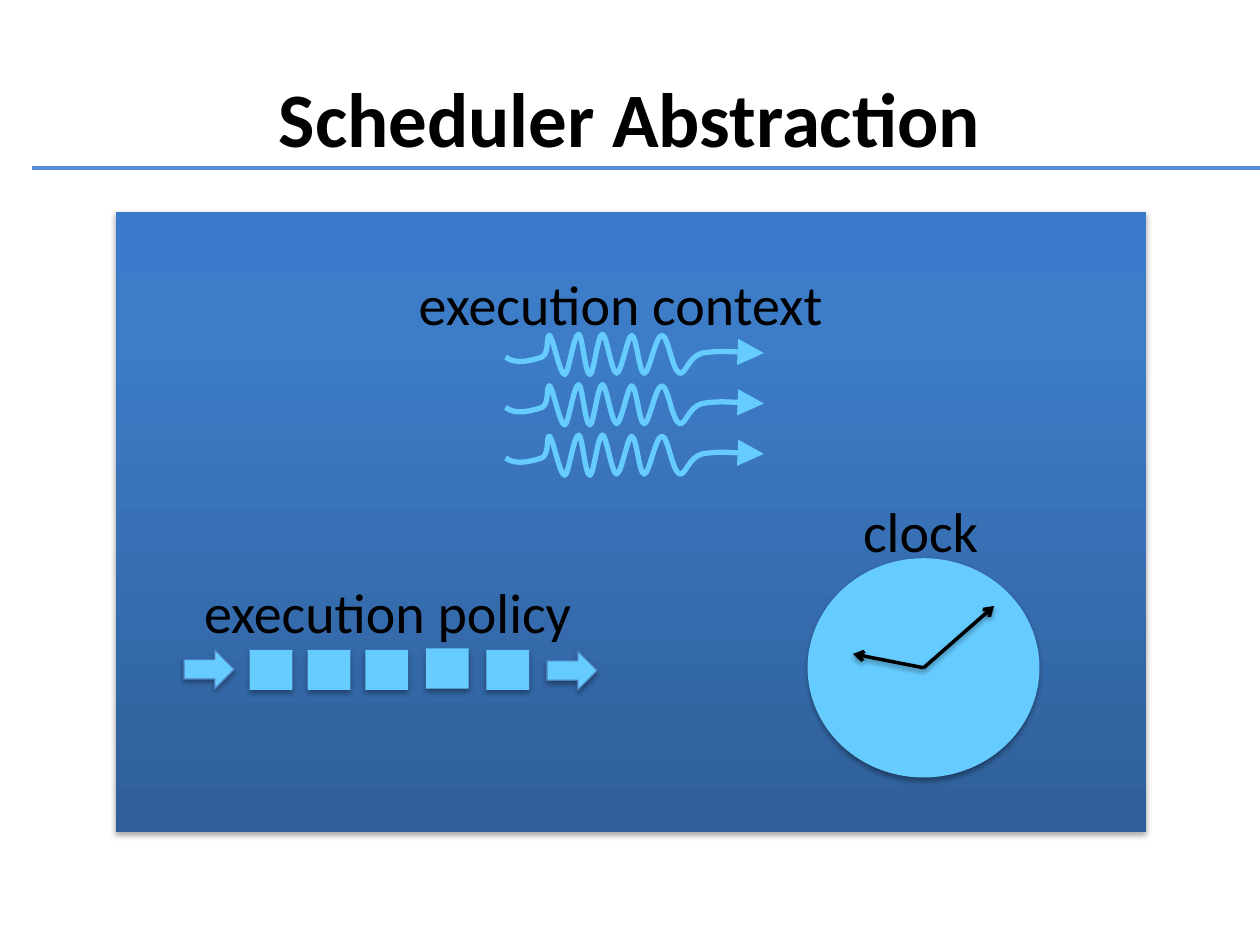
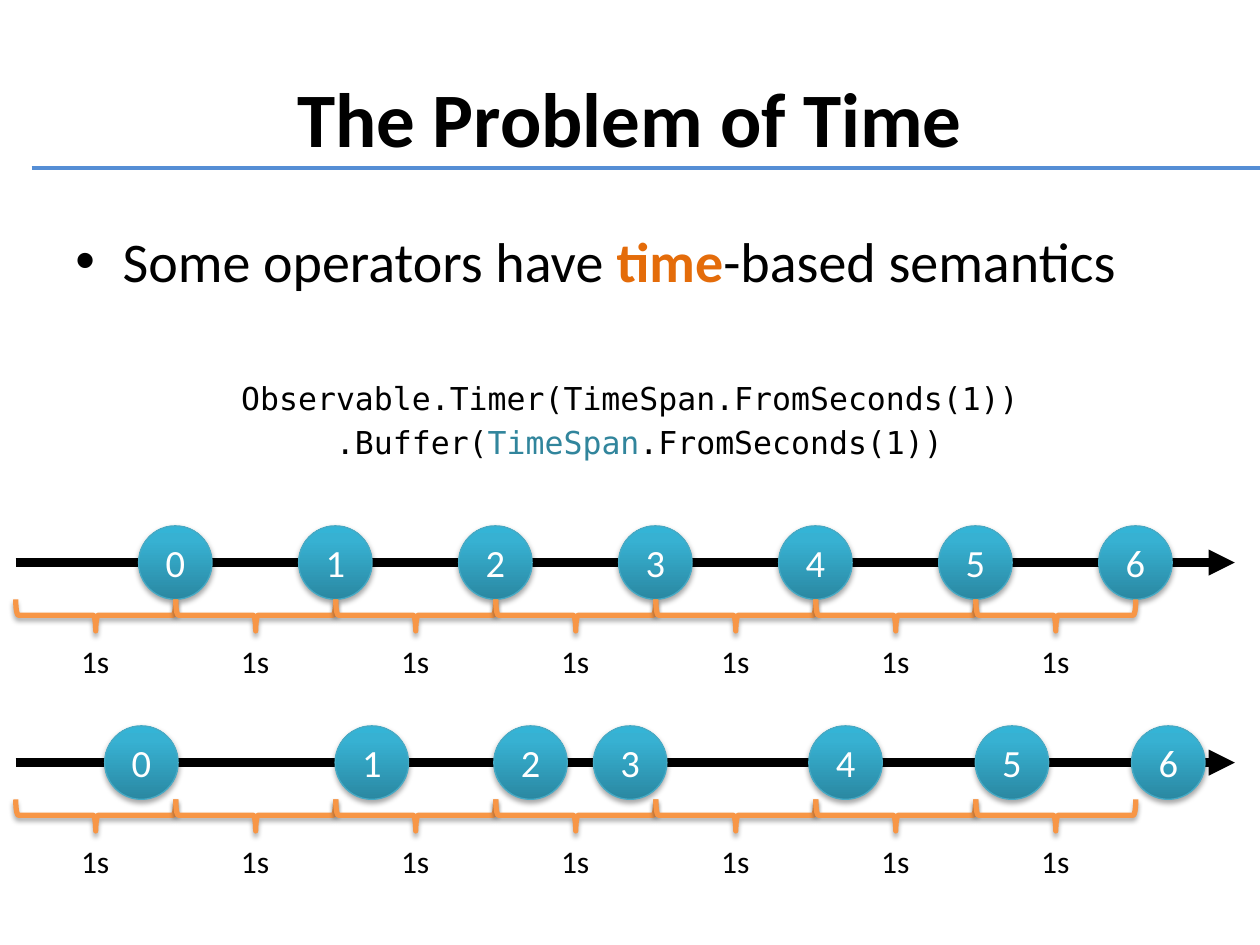
"""Build two slides about schedulers and time-based operators."""

import copy
import itertools
from typing import NamedTuple

import lxml.etree
import pptx
import pptx.dml.color
import pptx.enum.shapes
import pptx.enum.text
import pptx.oxml.ns
import pptx.util

Pt = pptx.util.Pt
RGBColor = pptx.dml.color.RGBColor
ShapeKind = pptx.enum.shapes.MSO_SHAPE
Alignment = pptx.enum.text.PP_ALIGN
qn = pptx.oxml.ns.qn

BLACK = RGBColor(0x00, 0x00, 0x00)
WHITE = RGBColor(0xFF, 0xFF, 0xFF)
RULE_BLUE = RGBColor(0x55, 0x8E, 0xD5)
SKY = RGBColor(0x66, 0xCC, 0xFF)
ARROW_EDGE = RGBColor(0x4B, 0x7E, 0xBC)
EVENT_EDGE = RGBColor(0x46, 0xAA, 0xC5)
ORANGE = RGBColor(0xF7, 0x96, 0x46)
EMPHASIS = RGBColor(0xE4, 0x6C, 0x0A)
TYPE_TEAL = RGBColor(0x31, 0x85, 0x9C)
PANEL_GRADIENT = (
    (0, RGBColor(0x2F, 0x5F, 0x99)),
    (0.8, RGBColor(0x3D, 0x7C, 0xC7)),
    (1, RGBColor(0x3A, 0x7C, 0xCB)),
)
EVENT_GRADIENT = (
    (0, RGBColor(0x2A, 0x88, 0xA2)),
    (0.8, RGBColor(0x37, 0xB1, 0xD2)),
    (1, RGBColor(0x34, 0xB4, 0xD6)),
)
TEXT_FONT = "Calibri"
CODE_FONT = "DejaVu Sans Mono"

SECOND = 91.44
SECONDS_SHOWN = 7
AXIS_LEFT = 9
AXIS_RIGHT = 705.6
EVENT_SIZE = 42
SQUIGGLE_START = (147.6, 10.8)
SQUIGGLE_CURVES = (
    ((133.9, 10.1), (121, 9.4), (112.3, 10.8)),
    ((104.4, 13), (103, 23), (99.4, 22.3)),
    ((95, 20.2), (92.9, 0.7), (89.3, 0.7)),
    ((85.7, 0.7), (82.1, 22.3), (79.2, 22.3)),
    ((76.3, 22.3), (74.9, 0.7), (72, 0.7)),
    ((69.8, 0.7), (66.2, 22.3), (63.4, 22.3)),
    ((60.5, 21.6), (57.6, 0), (55.4, 0)),
    ((52.6, 0), (50.4, 23), (48.2, 23)),
    ((45.4, 23), (43.9, 0), (41.8, 0)),
    ((38.9, 0), (36, 23), (33.8, 23)),
    ((31, 23), (27.4, 2.9), (25.2, 0.7)),
    ((23, 0), (25.2, 10.8), (20.9, 13)),
    ((16.6, 14.4), (5.8, 18), (0, 13)),
)


class Box(NamedTuple):
    """A frame in points."""

    left: float
    top: float
    width: float
    height: float


class Label(NamedTuple):
    """A caption with its frame."""

    text: str
    box: Box
    size: float = 32
    inset: bool = False


class Timeline(NamedTuple):
    """An axis height and the left edges of its events."""

    axis: float
    event_lefts: tuple[float, ...]


SCHEDULER_LABELS = (
    Label("clock", Box(493.2, 283.7, 69.8, 35.3)),
    Label("execution context", Box(239.3, 154.1, 242.6, 35.3)),
    Label("execution policy", Box(116.6, 329.8, 221.8, 35.3)),
)
QUEUE_ITEMS = ((142.6, 371.3), (175.8, 371.3), (208.8, 371.3), (243.4, 370.5), (277.9, 371.3))
QUEUE_ARROWS = ((105.1, 371.3), (312.5, 372))
CLOCK_CENTER = (527.8, 381.6)
CLOCK_HAND_TIPS = ((568.1, 346.3), (487.4, 373.7))
TIMELINES = (
    Timeline(321.5, tuple(79.2 + SECOND * number for number in range(SECONDS_SHOWN))),
    Timeline(435.8, (59.8, 191.5, 282.2, 339.1, 462.2, 557.3, 646.6)),
)


def set_font(font, size: float, color: RGBColor = BLACK, name: str = TEXT_FONT) -> None:
    """Give a font its face, size and colour."""
    font.name = name
    font.size = Pt(size)
    font.color.rgb = color


def cast_shadow(shape, opacity: int = 35, distance: float = 1.8) -> None:
    """Drop a soft black shadow straight down."""
    effects = shape._element.spPr.find(qn("a:effectLst"))
    shadow = lxml.etree.SubElement(
        effects, qn("a:outerShdw"), blurRad=str(Pt(3.1)), dist=str(Pt(distance)),
        dir="5400000", rotWithShape="0",
    )
    color = lxml.etree.SubElement(shadow, qn("a:srgbClr"), val=str(BLACK))
    lxml.etree.SubElement(color, qn("a:alpha"), val=str(opacity * 1000))


def fill_gradient(shape, stops) -> None:
    """Fill a shape with a three-stop gradient rising from the bottom."""
    shape.fill.gradient()
    shape.fill.gradient_angle = 90
    stop_list = shape._element.spPr.find(".//" + qn("a:gsLst"))
    stop_list.insert(1, copy.deepcopy(stop_list[1]))
    for stop, (position, color) in zip(shape.fill.gradient_stops, stops):
        stop.position = position
        stop.color.rgb = color


def add_shape(slide, kind, box: Box, fill=None, edge=None, edge_width: float = 0.75):
    """Add a shadowed shape with a plain, gradient or empty fill."""
    shape = slide.shapes.add_shape(kind, *map(Pt, box))
    shape.shadow.inherit = False
    if fill is None:
        shape.fill.background()
    elif isinstance(fill, RGBColor):
        shape.fill.solid()
        shape.fill.fore_color.rgb = fill
    else:
        fill_gradient(shape, fill)
    if edge is None:
        shape.line.fill.background()
    else:
        shape.line.color.rgb = edge
        shape.line.width = Pt(edge_width)
    cast_shadow(shape)
    return shape


def add_arrowhead(shape, end: str, kind: str, size: str = "med") -> None:
    """Put an arrowhead on one end of a line."""
    line = shape.line._get_or_add_ln()
    lxml.etree.SubElement(line, qn(f"a:{end}"), type=kind, w=size, len=size)


def add_line(slide, start, finish, color: RGBColor, width: float, arrow: str = ""):
    """Add a straight line, with an arrowhead at its finish if named."""
    line = slide.shapes.add_connector(
        pptx.enum.shapes.MSO_CONNECTOR.STRAIGHT, *map(Pt, (*start, *finish))
    )
    line.line.color.rgb = color
    line.line.width = Pt(width)
    if arrow:
        add_arrowhead(line, "tailEnd", arrow)
    lxml.etree.SubElement(line._element.spPr, qn("a:effectLst"))
    return line


def add_label(slide, label: Label) -> None:
    """Add a one-line caption."""
    frame = slide.shapes.add_textbox(*map(Pt, label.box)).text_frame
    frame.word_wrap = False
    frame.auto_size = pptx.enum.text.MSO_AUTO_SIZE.SHAPE_TO_FIT_TEXT
    if not label.inset:
        frame.margin_left = frame.margin_right = frame.margin_top = frame.margin_bottom = 0
    frame.text = label.text
    set_font(frame.paragraphs[0].font, label.size)


def add_titled_slide(presentation, text: str):
    """Add a slide with a bold title and the blue rule under it."""
    slide = presentation.slides.add_slide(presentation.slide_layouts[5])
    title = slide.shapes.title
    title.left, title.top, title.width, title.height = map(Pt, (36, 21.6, 648, 90))
    title.text_frame.text = text
    title.text_frame.vertical_anchor = pptx.enum.text.MSO_ANCHOR.MIDDLE
    paragraph = title.text_frame.paragraphs[0]
    paragraph.alignment = Alignment.CENTER
    set_font(paragraph.font, 44)
    paragraph.font.bold = True
    add_line(slide, (18, 96), (720, 96), RULE_BLUE, 2)
    return slide


def bend_segments(shape) -> None:
    """Turn each three straight segments of a freeform into one cubic curve."""
    segments = shape._element.spPr.findall(".//" + qn("a:lnTo"))
    for first in range(0, len(segments), 3):
        curve = lxml.etree.Element(qn("a:cubicBezTo"))
        segments[first].addprevious(curve)
        for segment in segments[first : first + 3]:
            curve.append(segment[0])
            segment.getparent().remove(segment)


def add_squiggle(slide, left: float, top: float) -> None:
    """Draw one thread as a wavy arrow."""
    corners = (SQUIGGLE_START, *itertools.chain.from_iterable(SQUIGGLE_CURVES))
    start, *rest = [(Pt(left + x), Pt(top + y)) for x, y in corners]
    builder = slide.shapes.build_freeform(*start)
    builder.add_line_segments(rest, close=False)
    thread = builder.convert_to_shape()
    bend_segments(thread)
    thread.shadow.inherit = False
    thread.fill.background()
    thread.line.color.rgb = SKY
    thread.line.width = Pt(3)
    add_arrowhead(thread, "headEnd", "triangle", "lg")


def build_scheduler_slide(presentation) -> None:
    """Show the three parts of a scheduler on a blue panel."""
    slide = add_titled_slide(presentation, "Scheduler Abstraction")
    add_shape(slide, ShapeKind.RECTANGLE, Box(66.24, 121, 588.6, 354.2), PANEL_GRADIENT)
    add_shape(slide, ShapeKind.OVAL, Box(461.5, 319, 132.5, 125.3), SKY)
    for tip in CLOCK_HAND_TIPS:
        hand = add_line(slide, CLOCK_CENTER, tip, BLACK, 2, "arrow")
        cast_shadow(hand, 38, 1.6)
    for number in range(3):
        add_squiggle(slide, 288.9, 191 + 28.8 * number)
    for left, top in QUEUE_ITEMS:
        add_shape(slide, ShapeKind.RECTANGLE, Box(left, top, 24.5, 23), SKY)
    for left, top in QUEUE_ARROWS:
        arrow_box = Box(left, top, 28.8, 22.3)
        arrow = add_shape(slide, ShapeKind.LEFT_ARROW, arrow_box, SKY, ARROW_EDGE)
        arrow.rotation = 180
    for label in SCHEDULER_LABELS:
        add_label(slide, label)


def add_operator_text(slide) -> None:
    """Write the bullet and the centred code lines."""
    frame = slide.shapes.add_textbox(*map(Pt, (36, 126, 648, 356.4))).text_frame
    frame.word_wrap = True
    bullet = frame.paragraphs[0]
    properties = bullet._p.get_or_add_pPr()
    properties.set("marL", str(Pt(27)))
    properties.set("indent", str(Pt(-27)))
    lxml.etree.SubElement(properties, qn("a:buFont"), typeface="Arial")
    lxml.etree.SubElement(properties, qn("a:buChar"), char="•")
    set_font(bullet.font, 32)
    for text in ("Some operators have ", "time", "-based semantics"):
        bullet.add_run().text = text
    bullet.runs[1].font.bold = True
    bullet.runs[1].font.color.rgb = EMPHASIS
    code_lines = (
        (48.4, ("Observable.Timer(TimeSpan.FromSeconds(1))",)),
        (3.6, (" .Buffer(", "TimeSpan", ".FromSeconds(1))")),
    )
    for space, texts in code_lines:
        paragraph = frame.add_paragraph()
        paragraph.alignment = Alignment.CENTER
        paragraph.space_before = Pt(space)
        set_font(paragraph.font, 18, name=CODE_FONT)
        for text in texts:
            paragraph.add_run().text = text
    paragraph.runs[1].font.color.rgb = TYPE_TEAL


def add_timeline(slide, timeline: Timeline) -> None:
    """Draw an axis with numbered events and one-second braces."""
    axis = timeline.axis
    add_line(slide, (AXIS_LEFT, axis), (AXIS_RIGHT, axis), BLACK, 5, "triangle")
    for number, left in enumerate(timeline.event_lefts):
        box = Box(left, axis - EVENT_SIZE / 2, EVENT_SIZE, EVENT_SIZE)
        event = add_shape(slide, ShapeKind.OVAL, box, EVENT_GRADIENT, EVENT_EDGE)
        event.text_frame.text = str(number)
        event.text_frame.vertical_anchor = pptx.enum.text.MSO_ANCHOR.MIDDLE
        paragraph = event.text_frame.paragraphs[0]
        paragraph.alignment = Alignment.CENTER
        set_font(paragraph.font, 22, WHITE)
    for number in range(SECONDS_SHOWN):
        center = AXIS_LEFT + SECOND * (number + 0.5)
        box = Box(center - 9, axis + 30 - SECOND / 2, 18, SECOND)
        brace = add_shape(slide, ShapeKind.LEFT_BRACE, box, edge=ORANGE, edge_width=3)
        brace.rotation = 270
        add_label(slide, Label("1s", Box(center - 15.5, axis + 41.6, 31, 28.8), 18, True))


def main() -> None:
    """Build and save the presentation."""
    presentation = pptx.Presentation()
    presentation.slide_width, presentation.slide_height = Pt(720), Pt(540)
    build_scheduler_slide(presentation)
    time_slide = add_titled_slide(presentation, "The Problem of Time")
    add_operator_text(time_slide)
    for timeline in TIMELINES:
        add_timeline(time_slide, timeline)
    presentation.save("out.pptx")


if __name__ == "__main__":
    main()
